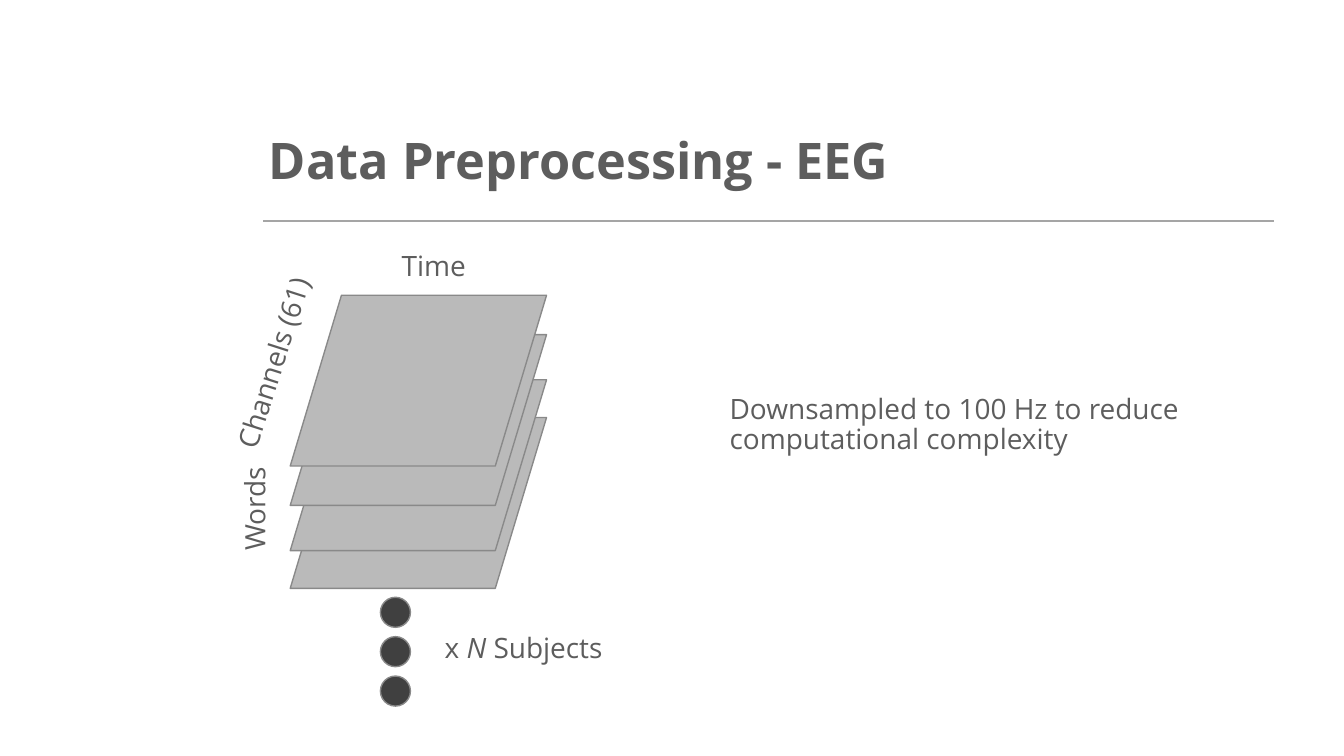
from dataclasses import dataclass

import pptx
import pptx.dml.color
import pptx.enum.shapes
import pptx.enum.text
import pptx.oxml
import pptx.util

Pt = pptx.util.Pt
Shapes = pptx.enum.shapes.MSO_SHAPE


@dataclass(frozen=True)
class Theme:
    font: str = "Open Sans"
    text: str = "5D5D5D"
    rule: str = "A5A5A5"
    sheet: str = "BABABA"
    dot: str = "404040"
    outline: str = "898989"
    title_size: float = 27
    body_size: float = 15
    line_spacing: float = 0.9


THEME = Theme()


def rgb(value):
    return pptx.dml.color.RGBColor.from_string(value)


def add_text(slide, left, top, width, height, runs, size=THEME.body_size,
             bold=False, inset=7.2, rotation=0):
    """Add a one-paragraph text box; runs is a list of (text, italic) pairs."""
    shape = slide.shapes.add_textbox(Pt(left), Pt(top), Pt(width), Pt(height))
    shape.rotation = rotation
    frame = shape.text_frame
    frame.word_wrap = True
    frame.margin_left = frame.margin_right = Pt(inset)
    frame.margin_top = frame.margin_bottom = Pt(inset)
    paragraph = frame.paragraphs[0]
    paragraph.line_spacing = THEME.line_spacing
    for text, italic in runs:
        run = paragraph.add_run()
        run.text = text
        run.font.name = THEME.font
        run.font.size = Pt(size)
        run.font.bold = bold
        run.font.italic = italic
        run.font.color.rgb = rgb(THEME.text)
    return shape


def add_title(slide, text):
    shape = add_text(slide, 141.1, 68.4, 347.8, 38.2, [(text, False)],
                     size=THEME.title_size, bold=True, inset=3)
    shape.text_frame.vertical_anchor = pptx.enum.text.MSO_ANCHOR.MIDDLE
    shape.text_frame.paragraphs[0].space_before = Pt(8)


def add_rule(slide, left, right, y):
    line = slide.shapes.add_connector(
        pptx.enum.shapes.MSO_CONNECTOR.STRAIGHT, Pt(left), Pt(y), Pt(right), Pt(y))
    line.line.color.rgb = rgb(THEME.rule)
    line.line.width = Pt(1)
    line._element.spPr.append(pptx.oxml.parse_xml(
        '<a:effectLst xmlns:a="http://schemas.openxmlformats.org/drawingml/2006/main"/>'))


def add_outlined_shape(slide, kind, left, top, width, height, fill):
    shape = slide.shapes.add_shape(kind, Pt(left), Pt(top), Pt(width), Pt(height))
    shape.shadow.inherit = False
    shape.fill.solid()
    shape.fill.fore_color.rgb = rgb(fill)
    shape.line.color.rgb = rgb(THEME.outline)
    shape.line.width = Pt(0.75)


def add_sheet_stack(slide):
    for top in (223.7, 203.5, 179.3, 158.2):
        add_outlined_shape(slide, Shapes.FLOWCHART_DATA, 155.5, top, 137.3, 91.5,
                           THEME.sheet)


def add_dots(slide):
    for index in range(3):
        add_outlined_shape(slide, Shapes.OVAL, 203.8, 320 + 21.1 * index, 16.1, 16.1,
                           THEME.dot)


def main():
    presentation = pptx.Presentation()
    presentation.slide_width = Pt(720)
    presentation.slide_height = Pt(405)
    slide = presentation.slides.add_slide(presentation.slide_layouts[6])

    add_rule(slide, 141.1, 682.6, 118.3)
    add_title(slide, "Data Preprocessing - EEG")
    add_sheet_stack(slide)
    add_text(slide, 89.3, 172.1, 122.4, 33.1, [("Channels (61)", False)], rotation=287.8)
    add_text(slide, 102.2, 249.1, 72.7, 33.1, [("Words", False)], rotation=270)
    add_text(slide, 208.1, 128.2, 64.1, 33.1, [("Time", False)])
    add_dots(slide)
    add_text(slide, 231.1, 332.6, 109.4, 33.1,
             [("x ", False), ("N", True), (" Subjects", False)])
    add_text(slide, 383.8, 204.5, 288, 64.1,
             [("Downsampled to 100 Hz to reduce computational complexity", False)])

    presentation.save("out.pptx")


if __name__ == "__main__":
    main()
